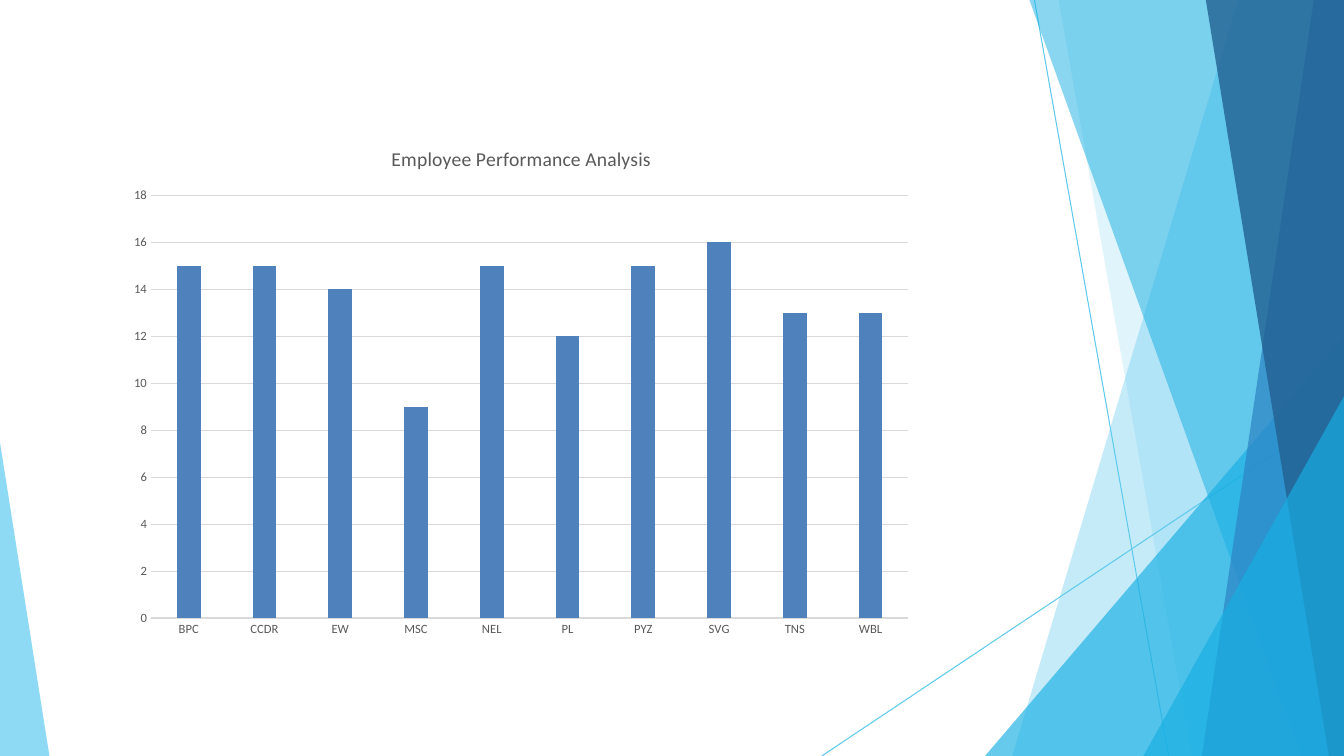
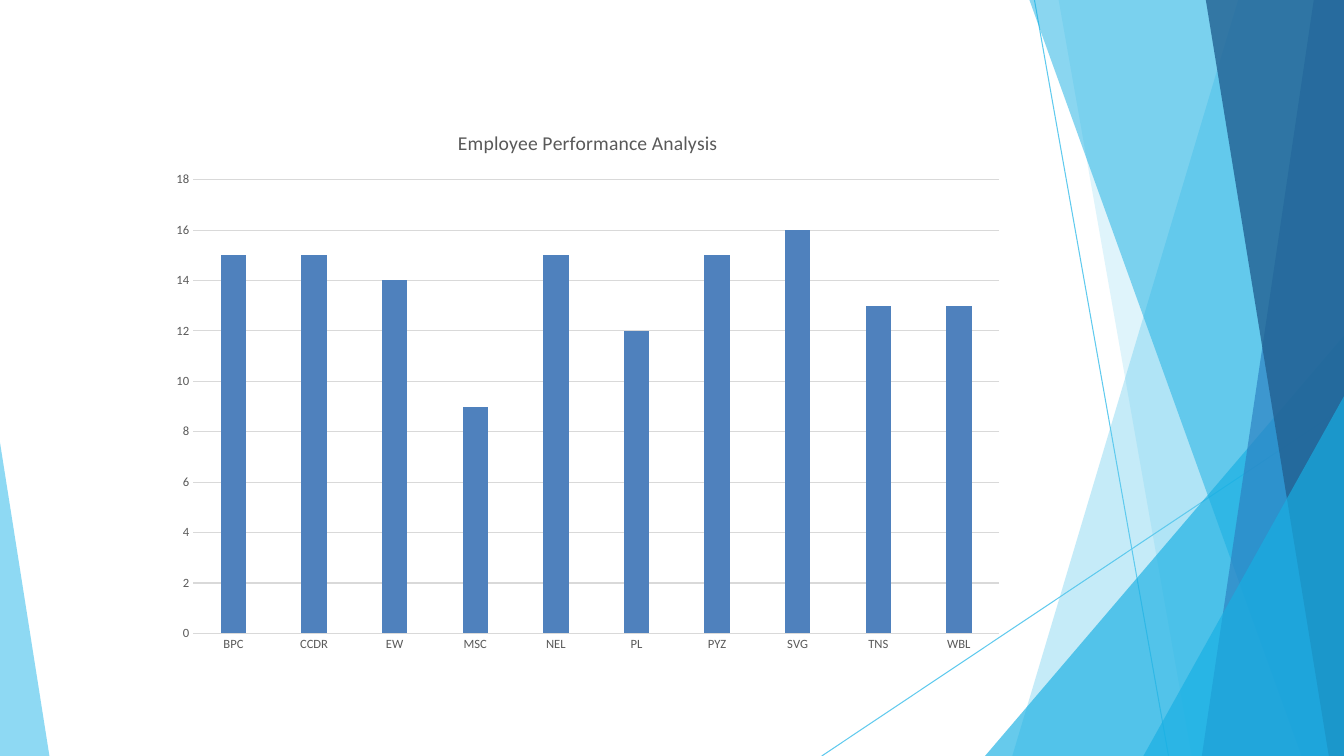
"""Two chart slides over a shared backdrop of translucent facets."""
from lxml.etree import SubElement
from pptx import Presentation
from pptx.chart.data import CategoryChartData
from pptx.dml.color import RGBColor
from pptx.enum.chart import XL_CHART_TYPE as ChartType, XL_TICK_MARK as TickMark
from pptx.enum.shapes import MSO_CONNECTOR as Connector
from pptx.oxml.ns import qn
from pptx.util import Inches, Pt

COLORS = {
    "sky": "5FCAEE",
    "cyan": "17AFE3",
    "blue": "2D83C3",
    "navy": "226192",
    "bar": "4F81BD",
    "text": "595959",
    "rule": "D9D9D9",
}
FONT = "Calibri"
WIDTH, HEIGHT = 13.33, 7.5


def write_text(text_frame, text, size=14, color="text", bold=False):
    text_frame.text = text
    font = text_frame.paragraphs[0].runs[0].font
    font.name, font.size, font.bold = FONT, Pt(size), bold
    font.color.rgb = RGBColor.from_string(COLORS[color])


def style_line(line, color):
    line.color.rgb = RGBColor.from_string(COLORS[color])
    line.width = Pt(0.75)


presentation = Presentation()
presentation.slide_width = Inches(WIDTH)
presentation.slide_height = Inches(HEIGHT)
layout = presentation.slide_layouts[6]
for placeholder in list(layout.placeholders):
    placeholder.element.getparent().remove(placeholder.element)

slides = [presentation.slides.add_slide(layout) for _ in range(2)]
canvas = slides[0].shapes

BACKDROP_LINES = [(10.26, 0, 11.59, HEIGHT), (WIDTH, 4.04, 8.15, HEIGHT)]
for ends in BACKDROP_LINES:
    connector = canvas.add_connector(Connector.STRAIGHT, *map(Inches, ends))
    style_line(connector.line, "sky")
    SubElement(connector.element.spPr, qn("a:effectLst"))

CORNER = (WIDTH, HEIGHT)
TOP_CORNER = (WIDTH, 0)
FACETS = [
    ("sky", 36, [TOP_CORNER, (12.28, 0), (10.04, HEIGHT), CORNER]),
    ("sky", 20, [TOP_CORNER, (10.5, 0), (11.82, HEIGHT), CORNER]),
    ("cyan", 66, [(WIDTH, 3.33), (9.77, HEIGHT), CORNER]),
    ("cyan", 50, [TOP_CORNER, (10.21, 0), (12.91, HEIGHT), CORNER]),
    ("blue", 70, [TOP_CORNER, (13.03, 0), (11.92, HEIGHT), CORNER]),
    ("navy", 80, [TOP_CORNER, (11.96, 0), (13.18, HEIGHT), CORNER]),
    ("cyan", 66, [(WIDTH, 3.93), (11.34, HEIGHT), CORNER]),
    ("sky", 70, [(0, 4.39), (0, HEIGHT), (0.49, HEIGHT)]),
]
for color, opacity, corners in FACETS:
    points = [(Inches(x), Inches(y)) for x, y in corners]
    builder = canvas.build_freeform(*points[0])
    builder.add_line_segments(points[1:], close=True)
    facet = builder.convert_to_shape()
    facet.shadow.inherit = False
    facet.fill.solid()
    facet.fill.fore_color.rgb = RGBColor.from_string(COLORS[color])
    fill_color = facet.element.spPr.find(".//" + qn("a:srgbClr"))
    SubElement(fill_color, qn("a:alpha"), val=str(opacity * 1000))
    facet.line.fill.background()

for shape in list(canvas):
    layout.shapes.element.append(shape.element)

SCORES = {
    "BPC": 15, "CCDR": 15, "EW": 14, "MSC": 9, "NEL": 15,
    "PL": 12, "PYZ": 15, "SVG": 16, "TNS": 13, "WBL": 13,
}
chart_data = CategoryChartData()
chart_data.categories = list(SCORES)
chart_data.add_series("Series 1", list(SCORES.values()))

CHART_BOXES = [(1.17, 1.25, 8, 5.17), (1.58, 1.08, 8.5, 5.5)]
for slide, box in zip(slides, CHART_BOXES):
    frame = slide.shapes.add_chart(
        ChartType.COLUMN_CLUSTERED, *map(Inches, box), chart_data)
    chart = frame.chart
    chart.font.name, chart.font.size = FONT, Pt(10)
    chart.has_legend = False
    chart.has_title = True
    write_text(chart.chart_title.text_frame, "Employee Performance Analysis")
    chart.chart_title.include_in_layout = False

    plot = chart.plots[0]
    plot.gap_width, plot.overlap = 219, -27
    plot.vary_by_categories = False
    bar_fill = plot.series[0].format.fill
    bar_fill.solid()
    bar_fill.fore_color.rgb = RGBColor.from_string(COLORS["bar"])

    for axis in (chart.category_axis, chart.value_axis):
        axis.major_tick_mark = axis.minor_tick_mark = TickMark.NONE
        label_font = axis.tick_labels.font
        label_font.name, label_font.size = FONT, Pt(9)
        label_font.color.rgb = RGBColor.from_string(COLORS["text"])
    style_line(chart.category_axis.format.line, "rule")

    value_axis = chart.value_axis
    value_axis.minimum_scale, value_axis.maximum_scale = 0, 18
    value_axis.major_unit = 2
    value_axis.format.line.fill.background()
    style_line(value_axis.major_gridlines.format.line, "rule")

presentation.save("out.pptx")
